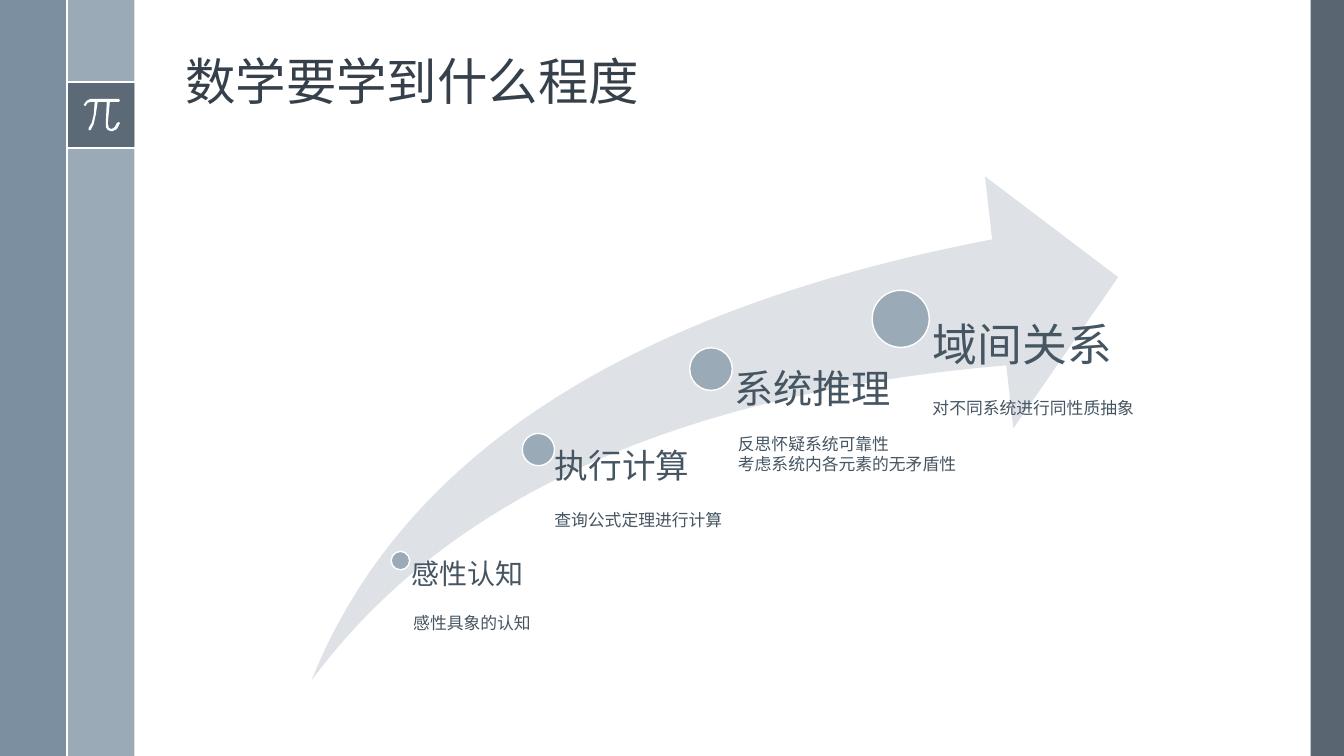
from dataclasses import dataclass

from lxml import etree
from pptx import Presentation
from pptx.dml.color import RGBColor
from pptx.enum.shapes import MSO_CONNECTOR, MSO_SHAPE
from pptx.enum.text import MSO_ANCHOR
from pptx.oxml.ns import qn
from pptx.util import Inches, Pt

RECTANGLE = MSO_SHAPE.RECTANGLE
OVAL = MSO_SHAPE.OVAL
SWOOSH_ARROW = MSO_SHAPE.SWOOSH_ARROW
STRAIGHT = MSO_CONNECTOR.STRAIGHT
TOP, BOTTOM = MSO_ANCHOR.TOP, MSO_ANCHOR.BOTTOM

WHITE = RGBColor(0xFF, 0xFF, 0xFF)
SLATE = RGBColor(0x47, 0x55, 0x62)
STEEL = RGBColor(0x6A, 0x80, 0x93)
MIST = RGBColor(0x9B, 0xAA, 0xB7)
PALE = RGBColor(0xDE, 0xE2, 0xE6)
TITLE_COLOR = RGBColor(0x35, 0x40, 0x4A)
TEXT_COLOR = RGBColor(0x46, 0x55, 0x62)

FONT = "Arial"
COLUMNS, ROWS = 40, 22.5
SLIDE_WIDTH, SLIDE_HEIGHT = Inches(13.33), Inches(7.5)
CELL = SLIDE_HEIGHT / ROWS
LABEL_INSET = 0.53  # share of the marker's diameter


def grid(cells: float) -> int:
    return round(cells * CELL)


@dataclass(frozen=True)
class Box:
    """A rectangle in grid cells."""
    left: float
    top: float
    width: float
    height: float

    def emu(self) -> tuple[int, int, int, int]:
        return grid(self.left), grid(self.top), grid(self.width), grid(self.height)


@dataclass(frozen=True)
class Band:
    box: Box
    color: RGBColor
    opacity: int = 100


@dataclass(frozen=True)
class Stage:
    marker: Box
    name: str
    name_box: Box
    name_size: int
    notes: tuple[str, ...]
    note_box: Box


BANDS = (
    Band(Box(COLUMNS - 1, 0, 1, ROWS), SLATE, 90),
    Band(Box(2, 0, 2, ROWS), MIST),
    Band(Box(0, 0, 2, ROWS), STEEL, 88),
    Band(Box(2, 2.43, 2, 2), SLATE, 75),
)
# Left, top, right and bottom in grid cells
RULES = ((2, 2.43, 4.02, 2.43), (2, 4.41, 4.02, 4.41), (2, 0, 2, ROWS))

# Outline in hundredths of an inch
PI_OUTLINE = (
    (118, 98), (90, 98), (86, 100), (83, 104), (84, 105), (85, 105), (87, 102),
    (90, 101), (94, 101), (93, 114), (91, 122), (88, 127), (88, 129), (90, 129),
    (93, 123), (95, 114), (97, 101), (106, 101), (105, 122), (105, 126),
    (107, 129), (110, 130), (112, 130), (116, 128), (119, 122), (118, 121),
    (116, 122), (114, 126), (111, 128), (108, 127), (107, 122), (109, 101),
    (118, 101), (119, 100),
)

STAGES = (
    Stage(Box(11.64, 16.41, 0.55, 0.55), "感性认知", Box(11.95, 16.68, 4.02, 1.62), 20,
          ("感性具象的认知",), Box(12, 18.09, 4.14, 0.9)),
    Stage(Box(15.54, 12.9, 0.96, 0.96), "执行计算", Box(16, 13.38, 5.13, 2.07), 24,
          ("查询公式定理进行计算",), Box(16.2, 15.03, 5.64, 0.9)),
    Stage(Box(20.52, 10.35, 1.27, 1.27), "系统推理", Box(21.18, 11, 5.88, 2.61), 28,
          ("反思怀疑系统可靠性", "考虑系统内各元素的无矛盾性"),
          Box(21.66, 12.75, 7.17, 1.5)),
    Stage(Box(25.95, 8.64, 1.7, 1.7), "域间关系", Box(26.85, 9.6, 6.87, 2.67), 32,
          ("对不同系统进行同性质抽象",), Box(27.45, 11.7, 6.66, 0.9)),
)


def paint(shape, color: RGBColor, opacity: int = 100, outline: bool = False) -> None:
    shape.shadow.inherit = False
    shape.fill.solid()
    shape.fill.fore_color.rgb = color
    if opacity < 100:
        fill_color = shape._element.spPr.find(qn("a:solidFill"))[0]
        etree.SubElement(fill_color, qn("a:alpha"), val=str(opacity * 1000))
    if outline:
        shape.line.color.rgb = WHITE
        shape.line.width = Pt(1)
    else:
        shape.line.fill.background()


def add_rule(slide, ends: tuple[float, ...]) -> None:
    rule = slide.shapes.add_connector(STRAIGHT, *map(grid, ends))
    rule.line.color.rgb = WHITE
    rule.line.width = Pt(1.5)
    etree.SubElement(rule._element.spPr, qn("a:effectLst"))


def add_text(slide, box: Box, *lines: str, size: int, color: RGBColor = TEXT_COLOR,
             anchor=TOP, wrap: bool = True, spacing: float = 1.0,
             left_inset: int | None = None) -> None:
    """Add one paragraph per line; a left inset clears the other three margins."""
    frame = slide.shapes.add_textbox(*box.emu()).text_frame
    frame.word_wrap = wrap
    frame.vertical_anchor = anchor
    if left_inset is not None:
        frame.margin_left = left_inset
        frame.margin_top = frame.margin_right = frame.margin_bottom = 0
    frame.text = "\n".join(lines)
    for paragraph in frame.paragraphs:
        paragraph.line_spacing = spacing
        font = paragraph.runs[0].font
        font.name = FONT
        font.size = Pt(size)
        font.color.rgb = color


def add_pi(slide) -> None:
    start, *points = PI_OUTLINE
    builder = slide.shapes.build_freeform(*start, scale=Inches(0.01))
    builder.add_line_segments(points, close=True)
    paint(builder.convert_to_shape(), WHITE)


def add_stage(slide, stage: Stage) -> None:
    marker = slide.shapes.add_shape(OVAL, *stage.marker.emu())
    paint(marker, MIST, outline=True)
    add_text(slide, stage.name_box, stage.name, size=stage.name_size, spacing=0.9,
             left_inset=grid(stage.marker.width * LABEL_INSET))
    add_text(slide, stage.note_box, *stage.notes, size=12, wrap=False)


def main() -> None:
    presentation = Presentation()
    presentation.slide_width = SLIDE_WIDTH
    presentation.slide_height = SLIDE_HEIGHT
    slide = presentation.slides.add_slide(presentation.slide_layouts[6])

    for band in BANDS:
        paint(slide.shapes.add_shape(RECTANGLE, *band.box.emu()), band.color, band.opacity)
    for rule in RULES:
        add_rule(slide, rule)
    add_pi(slide)
    add_text(slide, Box(5.22, 0.57, 32.1, 2.88), "数学要学到什么程度",
             size=36, color=TITLE_COLOR, anchor=BOTTOM, spacing=0.9)

    arrow = slide.shapes.add_shape(SWOOSH_ARROW, *Box(9.27, 5.25, 24, 15).emu())
    arrow.adjustments[0] = arrow.adjustments[1] = 0.25
    paint(arrow, PALE)
    for stage in STAGES:
        add_stage(slide, stage)

    presentation.save("out.pptx")


if __name__ == "__main__":
    main()
